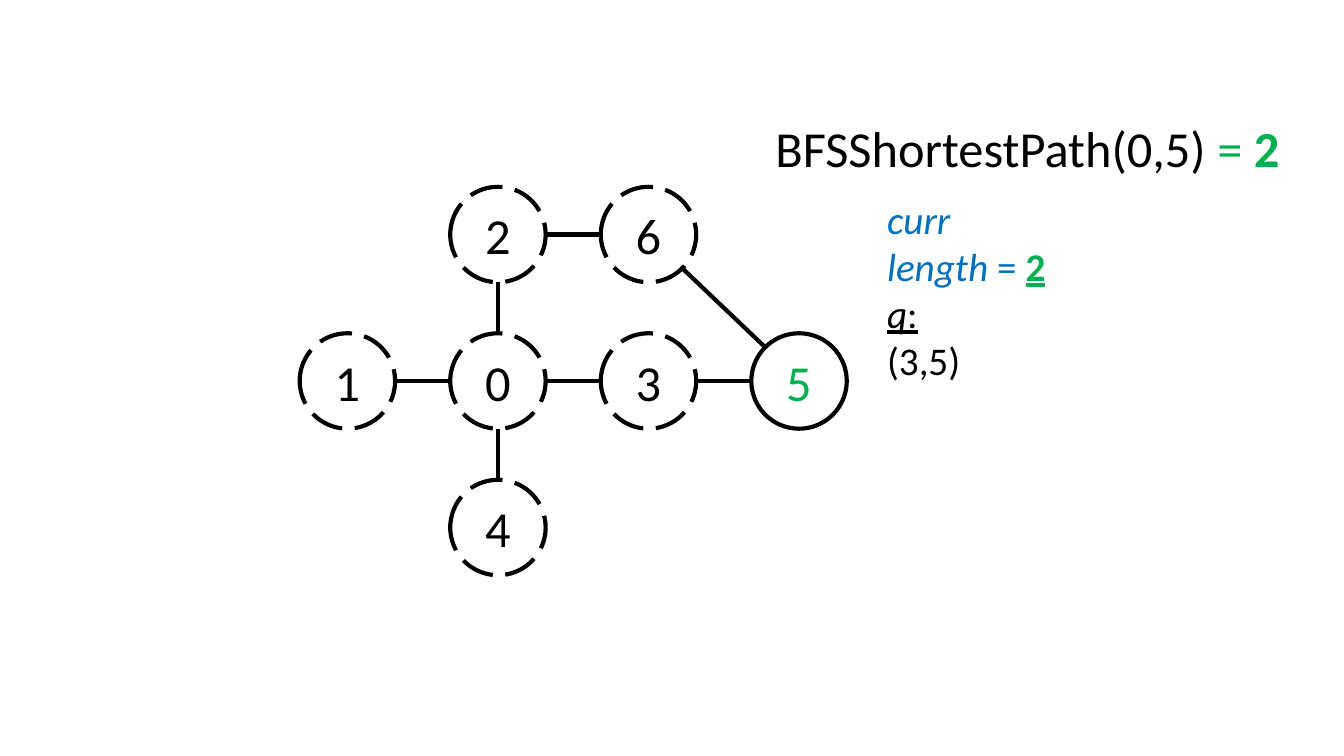
from math import hypot

from pptx import Presentation
from pptx.dml.color import RGBColor
from pptx.enum.dml import MSO_LINE
from pptx.enum.shapes import MSO_CONNECTOR, MSO_SHAPE
from pptx.enum.text import MSO_ANCHOR, MSO_AUTO_SIZE, PP_ALIGN
from pptx.oxml.ns import qn
from pptx.util import Inches, Pt

BLACK = RGBColor(0x00, 0x00, 0x00)
GREEN = RGBColor(0x00, 0xB0, 0x50)
BLUE = RGBColor(0x00, 0x70, 0xC0)
OVAL = MSO_SHAPE.OVAL
STRAIGHT = MSO_CONNECTOR.STRAIGHT
DASH = MSO_LINE.LONG_DASH
MIDDLE = MSO_ANCHOR.MIDDLE
CENTER = PP_ALIGN.CENTER
FIT_SHAPE = MSO_AUTO_SIZE.SHAPE_TO_FIT_TEXT

NODES = {
    "0": (1, 1), "1": (0, 1), "2": (1, 0), "3": (2, 1),
    "4": (1, 2), "5": (3, 1), "6": (2, 0),
}
EDGES = [("1", "0"), ("0", "2"), ("0", "3"), ("0", "4"),
         ("3", "5"), ("2", "6"), ("5", "6")]
TARGET = "5"
CALL = [[("BFSShortestPath(0,5)", {}),
         (" = ", {"color": GREEN}),
         ("2", {"color": GREEN, "bold": True})]]
STATE = [
    [("curr", {"color": BLUE, "italic": True})],
    [("length", {"color": BLUE, "italic": True}),
     (" = ", {"color": BLUE}),
     ("2", {"color": GREEN, "bold": True, "underline": True})],
    [("q", {"italic": True, "underline": True}), (":", {"underline": True})],
    [("(3,5)", {})],
]
GRID_LEFT, GRID_TOP = 2.23, 1.39
STEP_X, STEP_Y = 1.12, 1.09
DIAMETER = 0.71


def add_span(para, text, size=27, color=BLACK, bold=False, italic=False, underline=False):
    span = para.add_run()
    span.text = text
    font = span.font
    font.name = "Calibri"
    font.size = Pt(size)
    font.color.rgb = color
    font.bold, font.italic, font.underline = bold, italic, underline


def set_margins(frame):
    frame.margin_left = frame.margin_right = Inches(0.07)
    frame.margin_top = frame.margin_bottom = Inches(0.04)


def add_text(page, paragraphs, left, top, width, height, size, wrap):
    box = page.shapes.add_textbox(Inches(left), Inches(top), Inches(width), Inches(height))
    frame = box.text_frame
    frame.word_wrap = wrap
    frame.auto_size = FIT_SHAPE
    set_margins(frame)
    for index, spans in enumerate(paragraphs):
        para = frame.add_paragraph() if index else frame.paragraphs[0]
        for text, style in spans:
            add_span(para, text, size=size, **style)


def add_node(page, label):
    column, row = NODES[label]
    node = page.shapes.add_shape(
        OVAL, Inches(GRID_LEFT + column * STEP_X), Inches(GRID_TOP + row * STEP_Y),
        Inches(DIAMETER), Inches(DIAMETER))
    node.shadow.inherit = False
    node.fill.background()
    node.line.color.rgb = BLACK
    node.line.width = Pt(2.25)
    if label != TARGET:
        node.line.dash_style = DASH
    frame = node.text_frame
    frame.vertical_anchor = MIDDLE
    set_margins(frame)
    para = frame.paragraphs[0]
    para.alignment = CENTER
    add_span(para, label, color=GREEN if label == TARGET else BLACK)


def rim_point(label, toward):
    column, row = NODES[label]
    across, down = ((b > a) - (b < a) for a, b in zip(NODES[label], NODES[toward]))
    reach = DIAMETER / 2 / hypot(across, down)
    return (Inches(GRID_LEFT + column * STEP_X + DIAMETER / 2 + across * reach),
            Inches(GRID_TOP + row * STEP_Y + DIAMETER / 2 + down * reach))


def add_edge(page, start, end):
    edge = page.shapes.add_connector(STRAIGHT, *rim_point(start, end), *rim_point(end, start))
    edge.line.color.rgb = BLACK
    edge.line.width = Pt(2.25)
    properties = edge._element.spPr
    properties.append(properties.makeelement(qn("a:effectLst"), {}))


deck = Presentation()
deck.slide_width = Inches(10)
deck.slide_height = Inches(10) * 9 // 16
page = deck.slides.add_slide(deck.slide_layouts[6])
for label in NODES:
    add_node(page, label)
for start, end in EDGES:
    add_edge(page, start, end)
add_text(page, CALL, 5.7, 0.83, 3.96, 0.53, size=27, wrap=False)
add_text(page, STATE, 6.53, 1.41, 2.78, 1.49, size=21, wrap=True)
deck.save("out.pptx")
